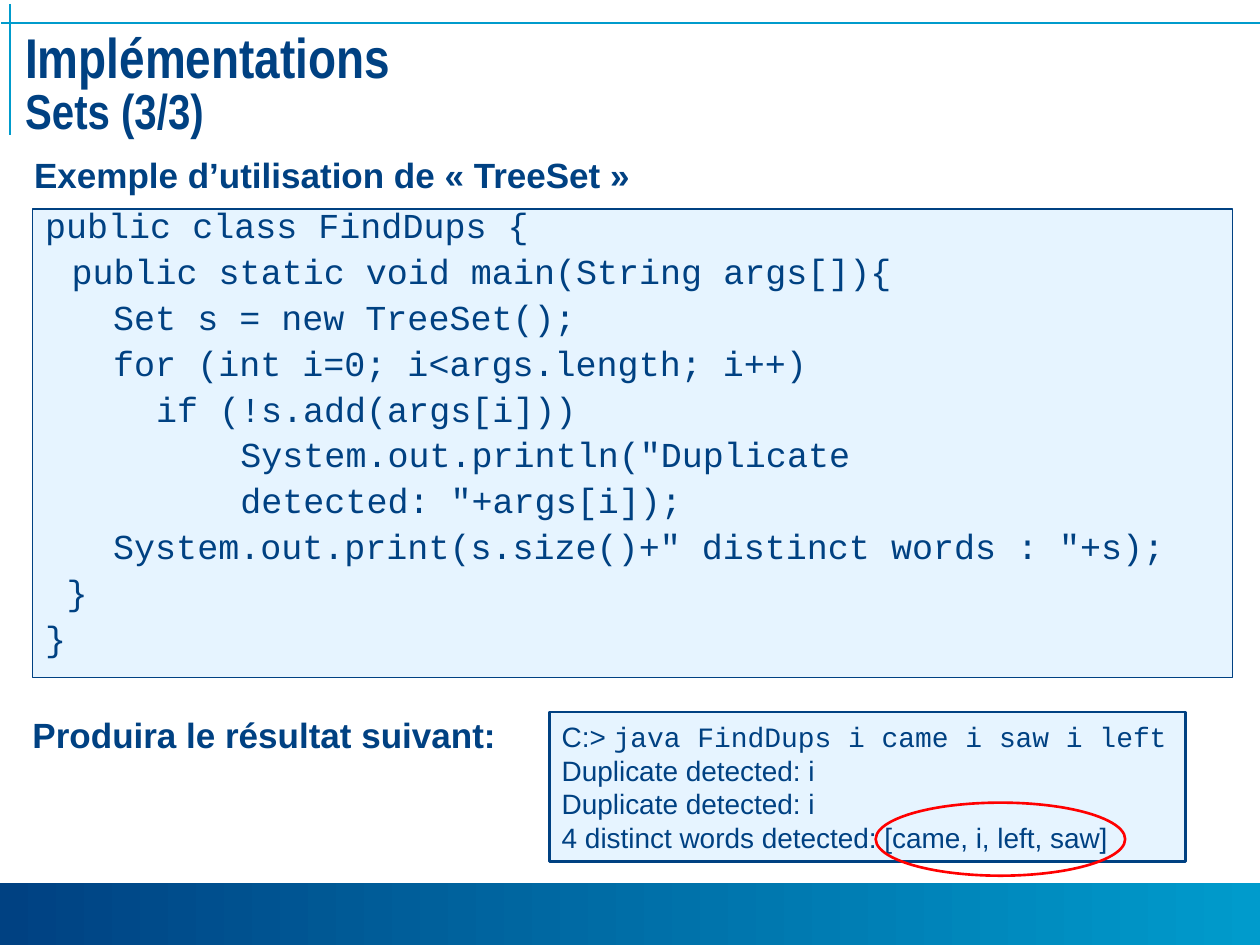
"""Build the TreeSet example slide."""
from lxml.etree import SubElement as Sub
from pptx import Presentation as Deck
from pptx.dml.color import RGBColor as Rgb
from pptx.enum.shapes import MSO_CONNECTOR as Link, MSO_SHAPE as Kind
from pptx.enum.text import MSO_ANCHOR as Anchor, MSO_AUTO_SIZE as Fit, PP_ALIGN as Align
from pptx.oxml.ns import qn
from pptx.util import Inches, Pt


def color(hue):
    return Rgb.from_string(hue)


class Page:
    navy, cyan, pale, red = "004182", "009BCC", "E6F4FF", "FF0000"
    sans, thin, mono = "Arial", "Arial Narrow", "Courier New"

    def __init__(self, deck):
        self.slide = deck.slides.add_slide(deck.slide_layouts[1])
        self.items = self.slide.shapes

    def shape(self, kind, box, fill=None, line=None, width=1.5):
        item = self.items.add_shape(kind, *map(Inches, box))
        item.shadow.inherit = False
        if fill:
            item.fill.solid()
            item.fill.fore_color.rgb = color(fill)
        else:
            item.fill.background()
        if line:
            item.line.color.rgb = color(line)
            item.line.width = Pt(width)
        else:
            item.line.fill.background()
        return item

    def band(self, box):
        fill = self.shape(Kind.RECTANGLE, box).fill
        fill.gradient()
        fill.gradient_angle = 0
        for stop, hue in zip(fill.gradient_stops, (self.navy, self.cyan)):
            stop.color.rgb = color(hue)

    def rule(self, *ends):
        line = self.items.add_connector(Link.STRAIGHT, *map(Inches, ends))
        line.line.color.rgb = color(self.cyan)
        line.line.width = Pt(1)
        Sub(line._element.spPr, qn("a:effectLst"))

    def holder(self, item, box):
        item.left, item.top, item.width, item.height = map(Inches, box)
        return item

    def frame(self, item, top=0.05, wrap=True, anchor=Anchor.TOP, fit=Fit.NONE):
        frame = item.text_frame
        frame.word_wrap, frame.auto_size = wrap, fit
        frame.vertical_anchor = anchor
        frame.margin_left = frame.margin_right = Inches(0.1)
        frame.margin_top, frame.margin_bottom = Inches(top), Inches(0.05)
        return frame

    def para(self, frame, first, space=1.0, before=0, indent=0):
        para = frame.paragraphs[0] if first else frame.add_paragraph()
        para.alignment = Align.LEFT
        para.line_spacing, para.space_before = space, Pt(before)
        props = para._p.get_or_add_pPr()
        props.set("marL", str(Inches(indent)))
        props.set("indent", "0")
        Sub(props, qn("a:buNone"))
        return para

    def run(self, para, text, size, font, bold=False):
        run = para.add_run()
        run.text = text
        run.font.size, run.font.name, run.font.bold = Pt(size), font, bold
        run.font.color.rgb = color(self.navy)

    def title(self, box, head, sub):
        frame = self.frame(self.holder(self.items.title, box), top=0.04)
        para = self.para(frame, True, space=0.85)
        self.run(para, head, 32, self.thin, True)
        para.add_line_break()
        self.run(para, sub, 28, self.thin, True)

    def label(self, item, text):
        para = self.para(self.frame(item), True, before=2)
        self.run(para, text, 20, self.sans, True)

    def code(self, box, lines):
        item = self.shape(Kind.RECTANGLE, box, self.pale, self.navy, 0.75)
        frame = self.frame(item, top=0.02)
        for row, (indent, text) in enumerate(lines):
            para = self.para(frame, row == 0, 0.8, 7, indent)
            self.run(para, text, 20, self.mono)

    def output(self, box, lines):
        item = self.shape(Kind.RECTANGLE, box, self.pale, self.navy)
        frame = self.frame(item, wrap=False, anchor=Anchor.MIDDLE, fit=Fit.SHAPE_TO_FIT_TEXT)
        for row, runs in enumerate(lines):
            para = self.para(frame, row == 0)
            for text, font in runs:
                self.run(para, text, 16, font)


def main():
    deck = Deck()
    deck.slide_width, deck.slide_height = Inches(10), Inches(7.5)
    page = Page(deck)
    page.band((0, 7.01, 10, 0.49))
    page.rule(0.01, 0.18, 10, 0.18)
    page.rule(0.08, 0.03, 0.08, 1.07)
    page.title((0.1, 0.22, 9.83, 1.01), "Implémentations", "Sets (3/3)")
    body = page.holder(page.slide.placeholders[1], (0.17, 1.17, 9.67, 0.53))
    page.label(body, "Exemple d’utilisation de «\u00a0TreeSet\u00a0»")
    page.code((0.26, 1.66, 9.52, 3.72), [
        (0, "public class FindDups {"),
        (0.21, "public static void main(String args[]){"),
        (0.54, "Set s = new TreeSet();"),
        (0.54, "for (int i=0; i<args.length; i++)"),
        (0.88, "if (!s.add(args[i]))"),
        (1.55, 'System.out.println("Duplicate'),
        (1.55, 'detected: "+args[i]);'),
        (0.54, 'System.out.print(s.size()+" distinct words : "+s);'),
        (0.17, "}"),
        (0, "}"),
    ])
    page.output((4.36, 5.65, 5.05, 1.19), [
        [("C:> ", page.sans), ("java FindDups i came i saw i left", page.mono)],
        [("Duplicate detected: i", page.sans)],
        [("Duplicate detected: i", page.sans)],
        [("4 distinct words detected: [came, i, left, saw]", page.sans)],
    ])
    note = page.items.add_textbox(*map(Inches, (0.16, 5.61, 4.03, 0.53)))
    page.label(note, "Produira le résultat suivant:")
    page.shape(Kind.OVAL, (6.95, 6.37, 1.98, 0.58), line=page.red)
    deck.save("out.pptx")


if __name__ == "__main__":
    main()
